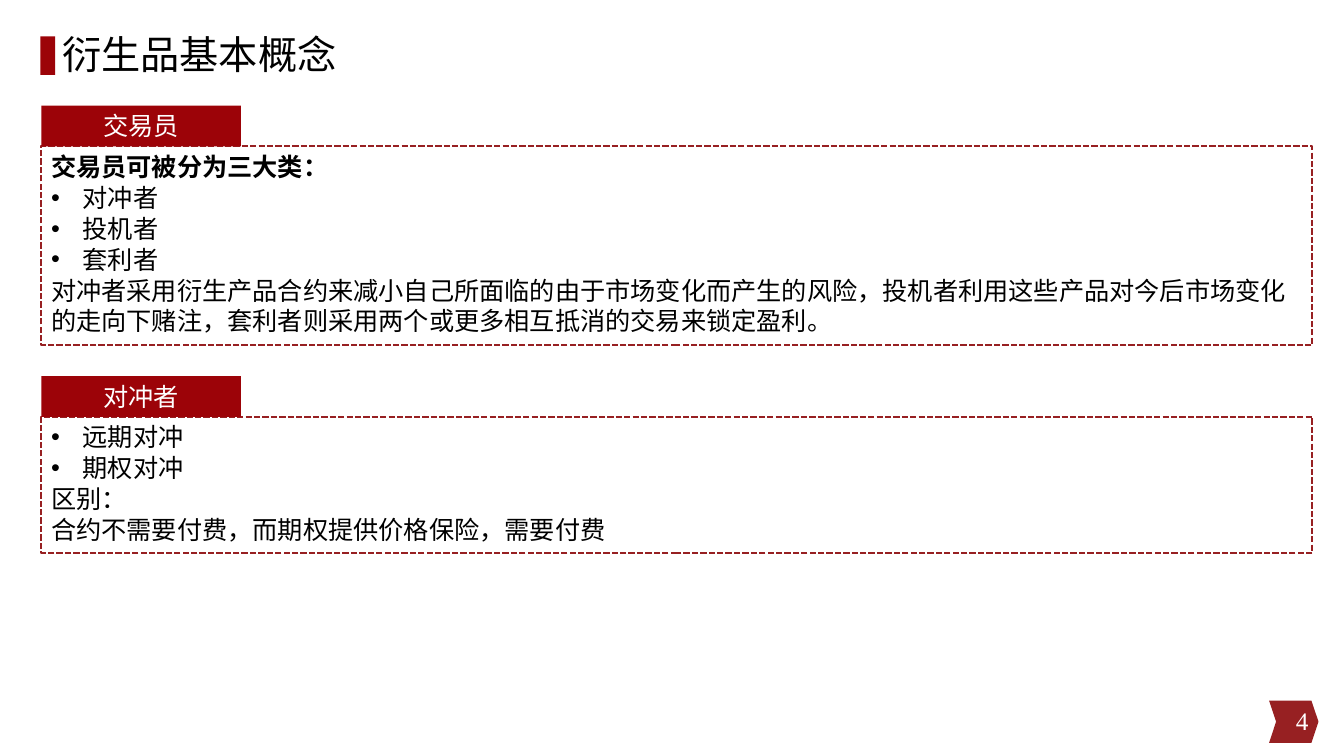
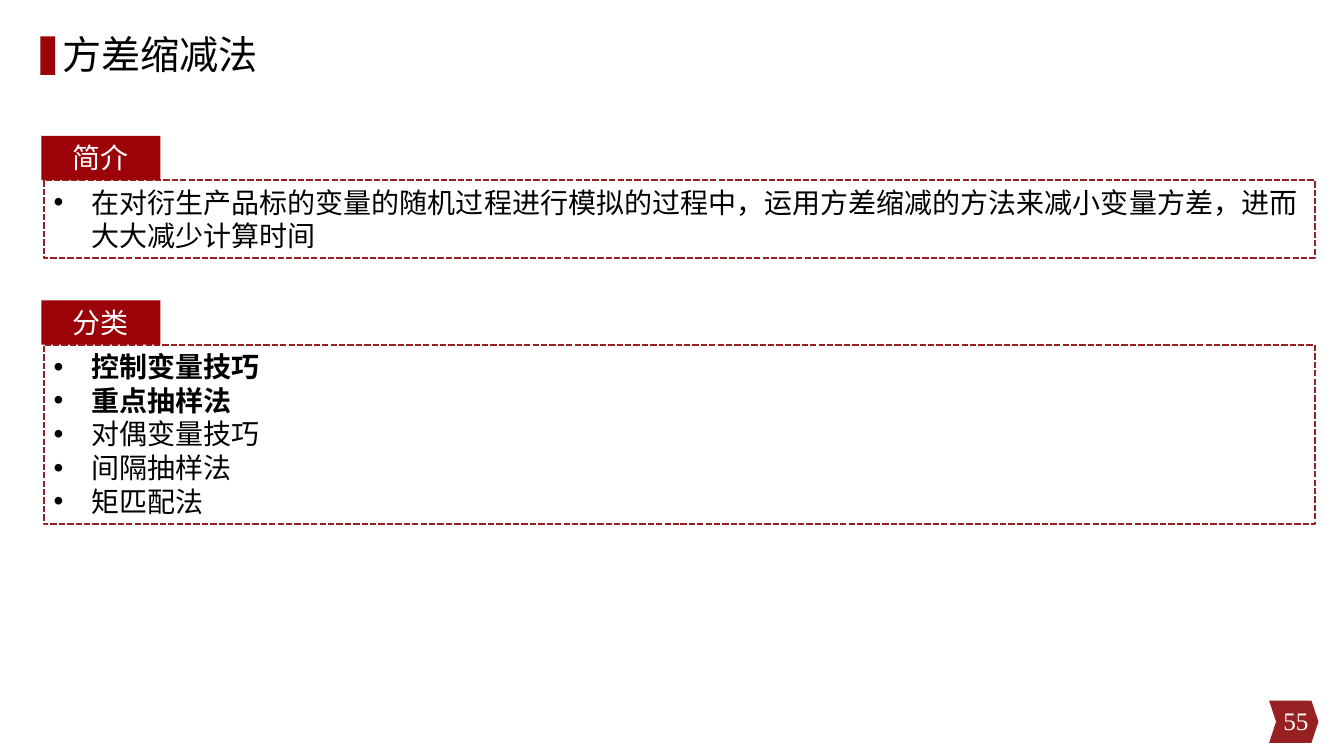
from dataclasses import dataclass
from lxml.etree import SubElement
from pptx import Presentation
from pptx.dml.color import RGBColor
from pptx.enum.dml import MSO_LINE
from pptx.enum.shapes import MSO_SHAPE as Shape
from pptx.enum.text import MSO_ANCHOR as Anchor, PP_ALIGN as Align
from pptx.oxml.ns import qn
from pptx.util import Pt

RED, DARK_RED, BLACK, WHITE = "9C0308", "972022", "000000", "FFFFFF"
TITLE_FONT, BODY_FONT = "Noto Sans CJK SC", "Times New Roman"
TAB_LEFT, BOX_WIDTH = 29.5, 908


@dataclass
class Style:
    size: int
    indent: float
    space_after: float
    tab_width: float
    tab_height: float
    box_left: float


@dataclass
class Line:
    text: str
    bullet: bool = False
    bold: bool = False


def color(value):
    return RGBColor.from_string(value)


def place(shape, left, top, width, height):
    shape.left, shape.top = Pt(left), Pt(top)
    shape.width, shape.height = Pt(width), Pt(height)


def format_font(paragraph, size, value, name=BODY_FONT, bold=False):
    for run in paragraph.runs:
        font = run.font
        font.size, font.name, font.bold = Pt(size), name, bold
        font.color.rgb = color(value)


def add_block(slide, kind, box, fill=None):
    shape = slide.shapes.add_shape(kind, *map(Pt, box))
    shape.shadow.inherit = False
    shape.line.fill.background()
    if fill:
        shape.fill.solid()
        shape.fill.fore_color.rgb = color(fill)
    else:
        shape.fill.background()
    return shape


def add_bullet(paragraph, indent):
    properties = paragraph._p.get_or_add_pPr()
    properties.set("marL", str(Pt(indent)))
    properties.set("indent", str(-Pt(indent)))
    SubElement(properties, qn("a:buFont")).set("typeface", "Arial")
    SubElement(properties, qn("a:buChar")).set("char", "•")


def decorate_layout(slide):
    marker = add_block(slide, Shape.RECTANGLE, (28.8, 26, 10.6, 27.6), RED)
    badge = add_block(slide, Shape.CHEVRON, (906.5, 500.4, 35.3, 30.2), DARK_RED)
    badge.adjustments[0] = 0.167
    for shape in (marker, badge):
        slide.slide_layout.shapes.element.append(shape.element)


def add_title(slide, text):
    title = slide.shapes.title
    place(title, 37.4, -1.4, 814.3, 84.2)
    frame = title.text_frame
    frame.text = text
    frame.vertical_anchor = Anchor.MIDDLE
    paragraph = frame.paragraphs[0]
    paragraph.alignment = Align.LEFT
    paragraph.line_spacing = 0.9
    format_font(paragraph, 28, BLACK, TITLE_FONT)
    for run in paragraph.runs:
        SubElement(run.font._element, qn("a:ea")).set("typeface", TITLE_FONT)


def add_page_number(slide, number):
    frame = slide.shapes.add_textbox(*map(Pt, (725.8, 500.4, 216, 28.8))).text_frame
    frame.word_wrap = True
    frame.vertical_anchor = Anchor.MIDDLE
    frame.text = str(number)
    frame.paragraphs[0].alignment = Align.RIGHT
    format_font(frame.paragraphs[0], 18, WHITE)


def fill_text(shape, lines, style, value, alignment):
    frame = shape.text_frame
    frame.word_wrap = True
    frame.vertical_anchor = Anchor.TOP
    frame.text = "\n".join(line.text for line in lines)
    for paragraph, line in zip(frame.paragraphs, lines):
        paragraph.alignment = alignment
        paragraph.space_after = Pt(style.space_after)
        if line.bullet:
            add_bullet(paragraph, style.indent)
        format_font(paragraph, style.size, value, bold=line.bold)


def add_section(slide, style, top, height, heading, lines):
    box_top = top + style.tab_height
    box = add_block(slide, Shape.RECTANGLE, (style.box_left, box_top, BOX_WIDTH, height))
    box.line.color.rgb = color(DARK_RED)
    box.line.width = Pt(1.5)
    box.line.dash_style = MSO_LINE.SQUARE_DOT
    fill_text(box, lines, style, BLACK, Align.LEFT)
    tab = add_block(slide, Shape.RECTANGLE,
                    (TAB_LEFT, top, style.tab_width, style.tab_height), RED)
    fill_text(tab, [Line(heading)], style, WHITE, Align.CENTER)


def add_content_slide(presentation, title, number, style, sections):
    slide = presentation.slides.add_slide(presentation.slide_layouts[5])
    add_title(slide, title)
    for section in sections:
        add_section(slide, style, *section)
    add_page_number(slide, number)
    return slide


def main():
    presentation = Presentation()
    presentation.slide_width, presentation.slide_height = Pt(960), Pt(540)
    compact = Style(18, 22.5, 0.5, 142.5, 29.1, 29.5)
    large = Style(20, 27, 0, 85, 31.7, 31.2)

    concepts = add_content_slide(presentation, "衍生品基本概念", 4, compact, [
        (75.4, 142, "交易员", [
            Line("交易员可被分为三大类：", bold=True),
            Line("对冲者", bullet=True),
            Line("投机者", bullet=True),
            Line("套利者", bullet=True),
            Line("对冲者采用衍生产品合约来减小自己所面临的由于市场变化而产生的风险，"
                 "投机者利用这些产品对今后市场变化的走向下赌注，"
                 "套利者则采用两个或更多相互抵消的交易来锁定盈利。")]),
        (268.6, 97.2, "对冲者", [
            Line("远期对冲", bullet=True),
            Line("期权对冲", bullet=True),
            Line("区别："),
            Line("合约不需要付费，而期权提供价格保险，需要付费")])])
    decorate_layout(concepts)

    add_content_slide(presentation, "方差缩减法", 55, large, [
        (97, 55.5, "简介", [
            Line("在对衍生产品标的变量的随机过程进行模拟的过程中，"
                 "运用方差缩减的方法来减小变量方差，进而大大减少计算时间", bullet=True)]),
        (214.6, 128.3, "分类", [
            Line("控制变量技巧", bullet=True, bold=True),
            Line("重点抽样法", bullet=True, bold=True),
            Line("对偶变量技巧", bullet=True),
            Line("间隔抽样法", bullet=True),
            Line("矩匹配法", bullet=True)])])
    presentation.save("out.pptx")


if __name__ == "__main__":
    main()
